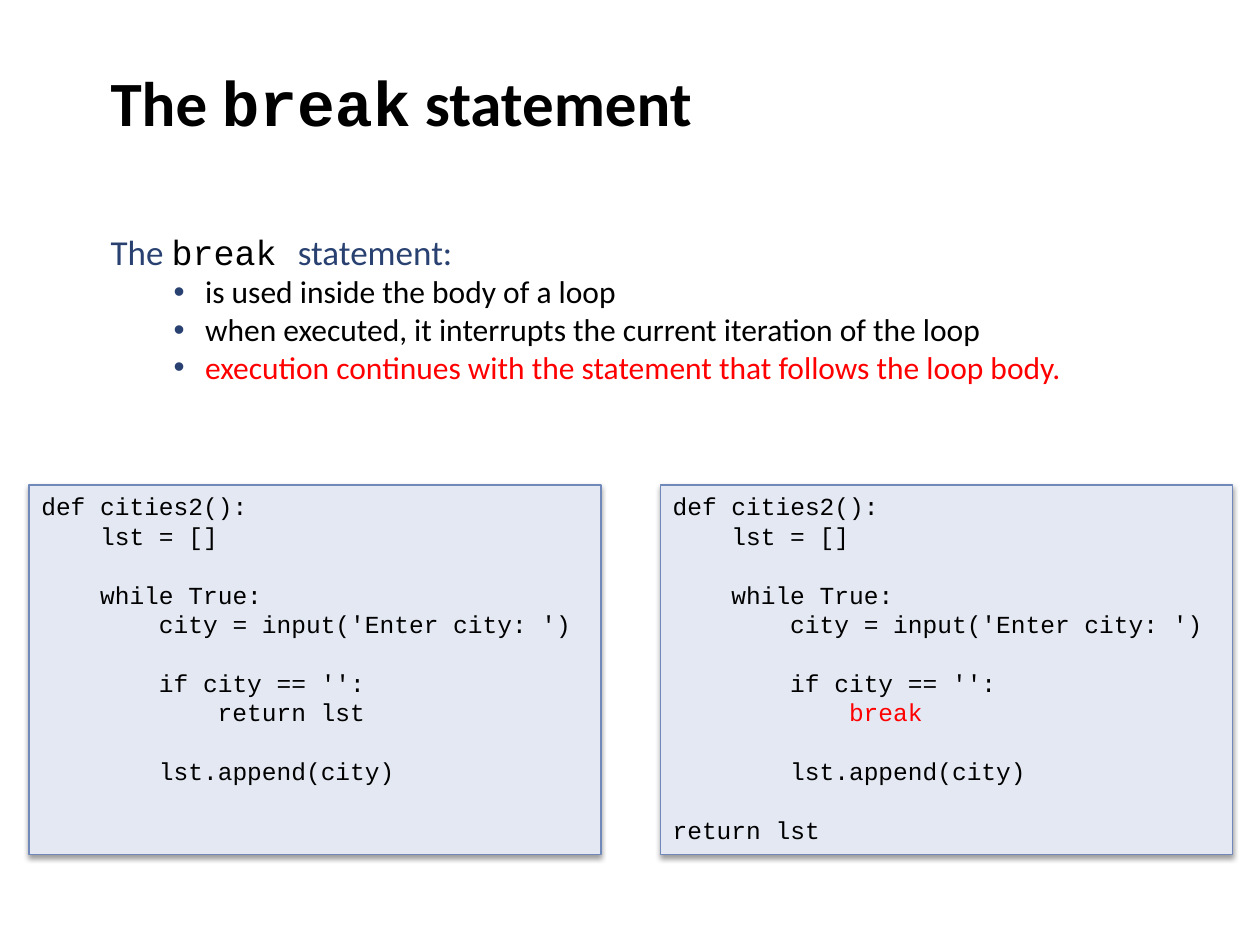
"""Build a slide on the break statement with two code boxes."""
from lxml import etree
from pptx import Presentation, util as u
from pptx.dml.color import RGBColor
from pptx.enum import shapes, text
from pptx.oxml import ns

COLORS = {"ink": "000000", "navy": "294171", "red": "FF0000",
          "panel": "E3E8F2", "edge": "7088BA"}
PROSE, CODE = "Calibri", "Courier New"

deck = Presentation()
deck.slide_width, deck.slide_height = u.Inches(10), u.Inches(7.5)
page = deck.slides.add_slide(deck.slide_layouts[6])
column, row = deck.slide_width / 100, deck.slide_height / 100


def add_box(left, top, width, height, anchor):
    """Add a rectangle, with its place in columns and rows."""
    box = page.shapes.add_shape(
        shapes.MSO_SHAPE.RECTANGLE, round(left * column), round(top * row),
        round(width * column), round(height * row))
    box.shadow.inherit = False
    box.fill.background()
    box.line.fill.background()
    frame = {"word_wrap": True, "vertical_anchor": anchor}
    for name, value in frame.items():
        setattr(box.text_frame, name, value)
    return box


def add_para(box, spans, size, bold=False):
    """Fill the first empty paragraph, or a new one, with spans."""
    frame = box.text_frame
    para = frame.add_paragraph() if frame.text else frame.paragraphs[0]
    para.alignment = text.PP_ALIGN.LEFT
    for words, face, color in spans:
        span = para.add_run()
        span.text = words
        look = {"name": face, "size": u.Pt(size), "bold": bold}
        for name, value in look.items():
            setattr(span.font, name, value)
        span.font.color.rgb = RGBColor.from_string(COLORS[color])
    return para


middle, top = text.MSO_ANCHOR.MIDDLE, text.MSO_ANCHOR.TOP

title = add_box(7.8, 0, 85, 21.47, middle)
add_para(title, [("The ", PROSE, "ink"), ("break", CODE, "ink"),
                 (" statement", PROSE, "ink")], 36, True)

body = add_box(7.8, 23.6, 85, 18, middle)
add_para(body, [("The ", PROSE, "navy"), ("break ", CODE, "ink"),
                ("statement:", PROSE, "navy")], 20)
points = [
    ("is used inside the body of a loop", "ink"),
    ("when executed, it interrupts the current iteration of the loop", "ink"),
    ("execution continues with the statement that follows the loop body.", "red"),
]
for words, color in points:
    para = add_para(body, [(words, PROSE, color)], 18)
    para.level = 1
    props = para._p.get_or_add_pPr()
    props.set("marL", str(u.Inches(0.75)))
    props.set("indent", str(-u.Inches(0.25)))
    bullet_color = etree.SubElement(props, ns.qn("a:buClr"))
    etree.SubElement(bullet_color, ns.qn("a:srgbClr"), val=COLORS["navy"])
    etree.SubElement(props, ns.qn("a:buFont"), typeface="Arial")
    etree.SubElement(props, ns.qn("a:buChar"), char="•")

CODE_SIZE, LINE_PITCH = 14, 16.8
TAB = 4 * 0.6 * CODE_SIZE
opening = [(0, 0, "def cities2():", "ink"), (1, 0, "lst = []", "ink"),
           (1, 1, "while True:", "ink"),
           (2, 0, "city = input('Enter city: ')", "ink"),
           (2, 1, "if city == '':", "ink")]
append = (2, 1, "lst.append(city)", "ink")
listings = [
    opening + [(3, 0, "return lst", "ink"), append],
    opening + [(3, 0, "break", "red"), append, (0, 1, "return lst", "ink")],
]
for index, listing in enumerate(listings):
    panel = add_box(2.3 + index * 50.1, 51.33, 45.4, 39.07, top)
    panel.fill.solid()
    panel.fill.fore_color.rgb = RGBColor.from_string(COLORS["panel"])
    panel.line.color.rgb = RGBColor.from_string(COLORS["edge"])
    panel.line.width = u.Pt(0.75)
    effects = panel._element.spPr.find(ns.qn("a:effectLst"))
    shadow = etree.SubElement(
        effects, ns.qn("a:outerShdw"), blurRad=str(u.Pt(3.1)),
        dist=str(u.Pt(1.6)), dir="5400000", rotWithShape="0")
    shade = etree.SubElement(shadow, ns.qn("a:srgbClr"), val=COLORS["ink"])
    etree.SubElement(shade, ns.qn("a:alpha"), val="38000")
    for depth, gap, words, color in listing:
        para = add_para(panel, [(words, CODE, color)], CODE_SIZE)
        spacing = {"line_spacing": u.Pt(LINE_PITCH),
                   "space_before": u.Pt(gap * LINE_PITCH)}
        for name, value in spacing.items():
            setattr(para, name, value)
        para._p.get_or_add_pPr().set("marL", str(u.Pt(depth * TAB)))

deck.save("out.pptx")
